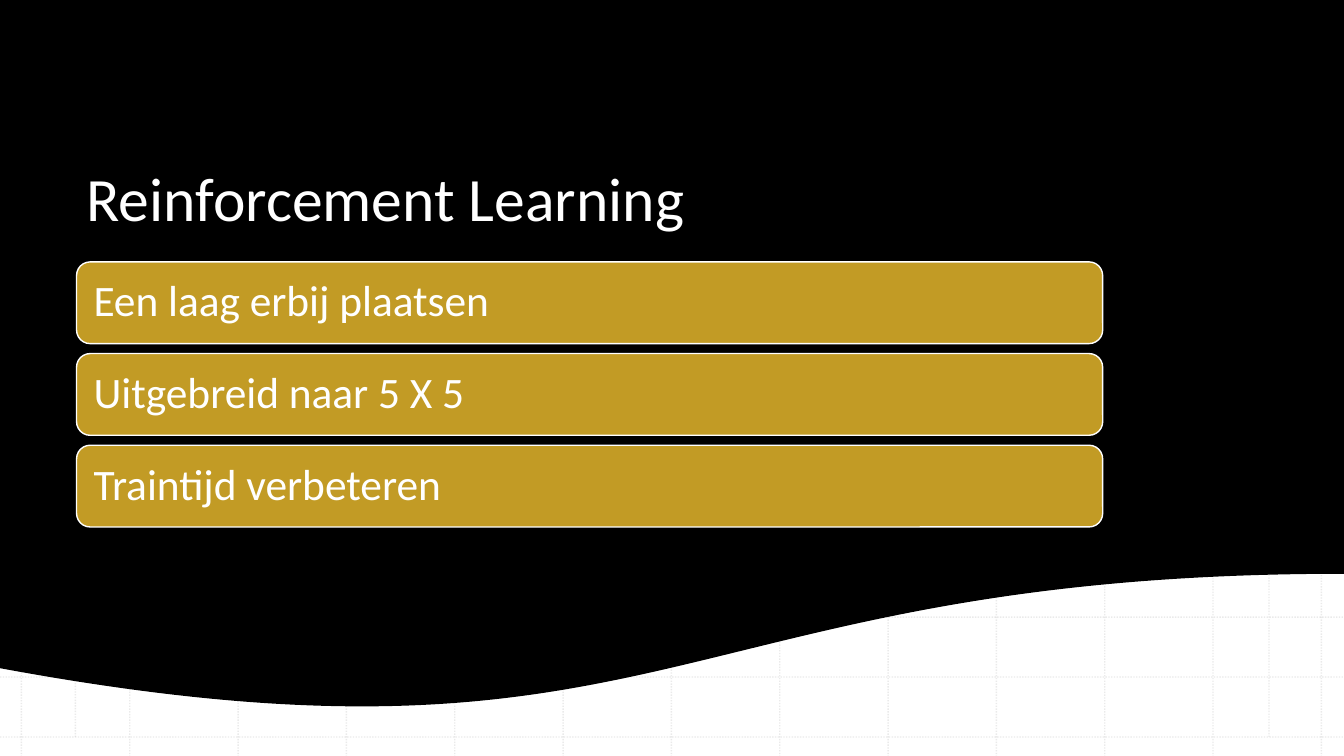
from lxml import etree
from pptx import Presentation
from pptx.dml.color import RGBColor
from pptx.enum.dml import MSO_LINE
from pptx.enum.shapes import MSO_CONNECTOR, MSO_SHAPE
from pptx.enum.text import MSO_ANCHOR, PP_ALIGN
from pptx.oxml.ns import qn
from pptx.util import Cm, Pt

STRAIGHT = MSO_CONNECTOR.STRAIGHT
DOTTED = MSO_LINE.ROUND_DOT
WAVE = MSO_SHAPE.FLOWCHART_DOCUMENT
ROUNDED = MSO_SHAPE.ROUNDED_RECTANGLE
LEFT = PP_ALIGN.LEFT
MIDDLE, BOTTOM = MSO_ANCHOR.MIDDLE, MSO_ANCHOR.BOTTOM

WIDTH, HEIGHT = 33.87, 19.05
FONT = "Calibri"
WHITE, BLACK, GOLD, GREY = "FFFFFF", "000000", "C29B25", "BCBCBC"
GOALS = ["Een laag erbij plaatsen", "Uitgebreid naar 5 X 5", "Traintijd verbeteren"]


def rgb(hex_code):
    """Turn a hex string into a colour."""
    return RGBColor.from_string(hex_code)


def add_grid_line(s, x1, y1, x2, y2):
    """Draw one faint dotted line of the background grid."""
    line = s.shapes.add_connector(STRAIGHT, Cm(x1), Cm(y1), Cm(x2), Cm(y2))
    line.line.color.rgb = rgb(GREY)
    line.line.width = Pt(1)
    line.line.dash_style = DOTTED
    sp_pr = line._element.spPr
    color = sp_pr.find(".//" + qn("a:srgbClr"))
    etree.SubElement(color, qn("a:alpha"), val="30000")
    etree.SubElement(sp_pr, qn("a:effectLst"))


def add_grid(s):
    """Draw the grid lines that show below the wave, with both margins."""
    for i in range(3):
        y = 15.55 + i * 1.51
        add_grid_line(s, 0, y, WIDTH, y)
    for i in range(13):
        x = 0.54 + i * 2.73
        add_grid_line(s, x, 0, x, HEIGHT)
    for x in (1.9, 31.98):
        add_grid_line(s, x, 0.48, x, 18.57)


def add_filled(s, kind, x, y, w, h, fill, line=None):
    """Add a flat preset shape, outlined only if a line colour is given."""
    sp = s.shapes.add_shape(kind, Cm(x), Cm(y), Cm(w), Cm(h))
    sp.shadow.inherit = False
    sp.fill.solid()
    sp.fill.fore_color.rgb = rgb(fill)
    if line:
        sp.line.color.rgb = rgb(line)
        sp.line.width = Pt(1)
    else:
        sp.line.fill.background()
    return sp


def write(sp, text, size, anchor, margin=None, spacing=None):
    """Write left-aligned white text into a shape."""
    tf = sp.text_frame
    tf.word_wrap = True
    tf.vertical_anchor = anchor
    if margin is not None:
        tf.margin_left = tf.margin_right = Cm(margin)
        tf.margin_top = tf.margin_bottom = Cm(margin)
    p = tf.paragraphs[0]
    p.alignment = LEFT
    p.line_spacing = spacing
    r = p.add_run()
    r.text = text
    r.font.name = FONT
    r.font.size = Pt(size)
    r.font.color.rgb = rgb(WHITE)


def add_title(s, text):
    """Add the slide title."""
    sp = s.shapes.add_textbox(Cm(1.93), Cm(2.01), Cm(28.68), Cm(4.01))
    write(sp, text, 44, BOTTOM)


def add_goals(s, goals):
    """Stack one gold bar for each goal."""
    for i, goal in enumerate(goals):
        bar = add_filled(s, ROUNDED, 1.93, 6.6 + i * 2.31, 25.86, 2.06, GOLD, WHITE)
        write(bar, goal, 31, MIDDLE, margin=0.33, spacing=0.9)


def main():
    """Build the slide and save it."""
    prs = Presentation()
    prs.slide_width, prs.slide_height = Cm(WIDTH), Cm(HEIGHT)
    s = prs.slides.add_slide(prs.slide_layouts[6])
    s.background.fill.solid()
    s.background.fill.fore_color.rgb = rgb(WHITE)
    add_grid(s)
    add_filled(s, WAVE, 0, 0, WIDTH, 18.03, BLACK)
    add_title(s, "Reinforcement Learning")
    add_goals(s, GOALS)
    prs.save("out.pptx")


main()
